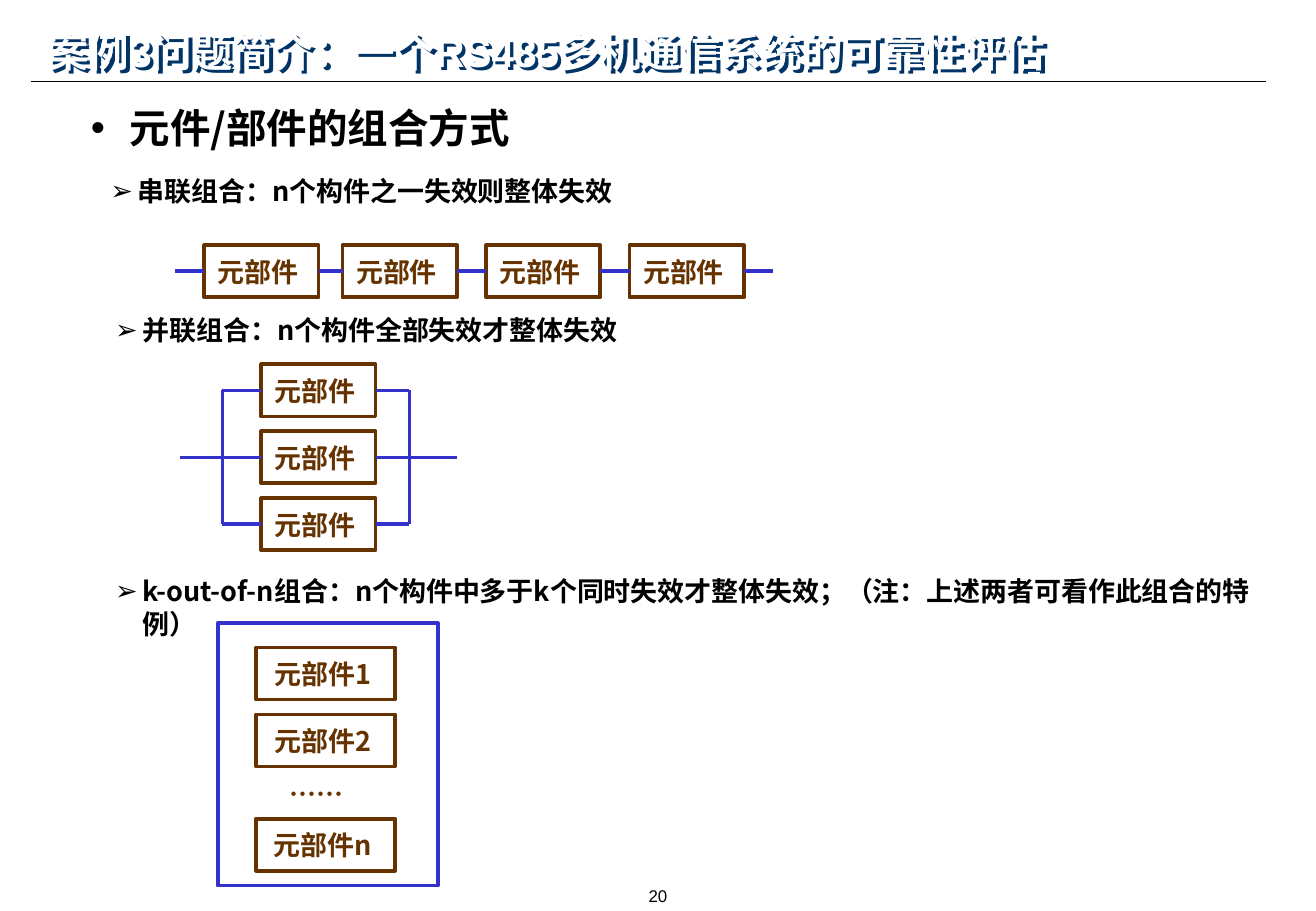
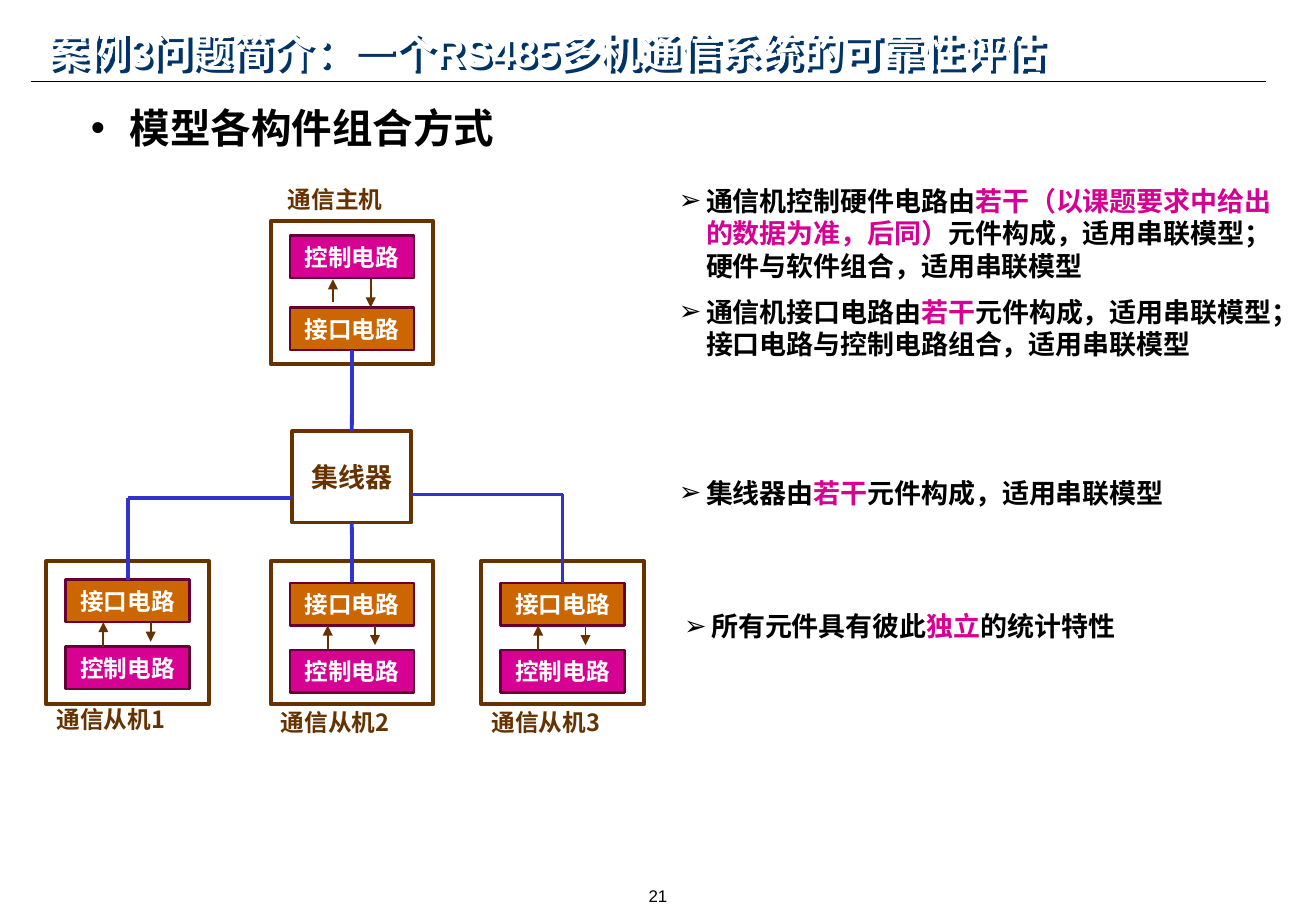
"""Build two slides on how components combine in an RS485 reliability model."""
from lxml.etree import SubElement
from pptx import Presentation
from pptx.dml.color import RGBColor
from pptx.enum.shapes import MSO_CONNECTOR, MSO_SHAPE
from pptx.enum.text import MSO_ANCHOR, PP_ALIGN
from pptx.oxml.ns import qn
from pptx.util import Cm, Pt

BLACK = RGBColor(0x00, 0x00, 0x00)
WHITE = RGBColor(0xFF, 0xFF, 0xFF)
BROWN = RGBColor(0x66, 0x33, 0x00)
BLUE = RGBColor(0x33, 0x33, 0xCC)
PINK = RGBColor(0xD6, 0x00, 0x93)
ORANGE = RGBColor(0xCC, 0x66, 0x00)
WINE = RGBColor(0x66, 0x00, 0x33)
NAVY = "003366"
CJK = "Noto Sans CJK SC"
TOP, LEFT, BOTTOM, RIGHT = range(4)

TITLE = "案例3问题简介：一个RS485多机通信系统的可靠性评估"
PARTS = [
    {"page": "20", "head": "元件/部件的组合方式", "points": [
        (2.06, 3.53, 13, ["串联组合：n个构件之一失效则整体失效"]),
        (2.16, 6.43, 13, ["并联组合：n个构件全部失效才整体失效"]),
        (2.16, 11.89, 25, ["k-out-of-n组合：n个构件中多于k个同时失效才整体失效；"
                           "（注：上述两者可看作此组合的特例）"]),
    ]},
    {"page": "21", "head": "模型各构件组合方式", "points": [
        (13.94, 3.73, 13, ["通信机控制硬件电路由", "若干（以课题要求中给出的数据为准，后同）",
                           "元件构成，适用串联模型；硬件与软件组合，适用串联模型"]),
        (13.94, 6.05, 13, ["通信机接口电路由", "若干",
                           "元件构成，适用串联模型；接口电路与控制电路组合，适用串联模型"]),
        (13.94, 9.83, 13, ["集线器由", "若干", "元件构成，适用串联模型"]),
        (14.05, 12.62, 13, ["所有元件具有彼此", "独立", "的统计特性"]),
    ]},
]
PART = "元部件"
SERIES = [4.27, 7.16, 10.16, 13.16]
VOTES = [("元部件1", 13.54), ("元部件2", 14.94), ("元部件n", 17.12)]
HOST = {"label": -0.89, "ctrl": 0.31, "port": 1.81,
        "arrows": [(1.3, 1.7, 1.22), (2.09, 1.22, 1.81)]}
SLAVE = {"label": 2.95, "ctrl": 1.86, "port": 0.46,
         "arrows": [(1.19, 1.86, 1.35), (2.18, 1.35, 1.76)]}
UNITS = [("通信主机", 5.66, 4.62, 0, HOST), ("通信从机1", 0.97, 11.73, -0.07, SLAVE),
         ("通信从机2", 5.66, 11.73, 0, SLAVE), ("通信从机3", 10.06, 11.73, 0, SLAVE)]
UNIT_W, UNIT_H, CHIP_W, CHIP_H = 3.4, 3, 2.59, 0.89
HUB = (6.11, 9.02, 2.49, 1.91)


def write(para, texts, size, color, face=CJK, bold=True):
    for i, text in enumerate(texts):
        run = para.add_run()
        run.text = text
        style = {"size": Pt(size), "bold": bold, "name": face}
        for key, value in style.items():
            setattr(run.font, key, value)
        run.font.color.rgb = PINK if i % 2 else color
        SubElement(run.font._element, qn("a:ea"), typeface=CJK)


def setup(frame, pads, wrap=True, anchor=MSO_ANCHOR.TOP):
    names = ("margin_left", "margin_top", "margin_right", "margin_bottom")
    for name, pad in zip(names, pads):
        setattr(frame, name, Cm(pad))
    frame.word_wrap, frame.vertical_anchor = wrap, anchor
    return frame.paragraphs[0]


def label(slide, spot, text, size, color=BROWN, pads=(0, 0.13, 0, 0.13), **style):
    box = slide.shapes.add_textbox(*map(Cm, spot))
    para = setup(box.text_frame, pads)
    para.alignment = PP_ALIGN.CENTER
    para.line_spacing = Pt(size * 1.2)
    write(para, [text], size, color, **style)


def bullet(slide, spot, texts, size, mark, indent):
    box = slide.shapes.add_textbox(*map(Cm, spot))
    para = setup(box.text_frame, (0.25, 0.13, 0.25, 0.13))
    para.line_spacing = Pt(size * 1.2)
    props = para._p.get_or_add_pPr()
    props.set("marL", str(Cm(indent)))
    props.set("indent", str(-Cm(indent)))
    SubElement(props, qn("a:buFont"), typeface="Arial")
    SubElement(props, qn("a:buChar"), char=mark)
    write(para, texts, size, BLACK)


def block(slide, spot, text="", size=16, fill=None, edge=BROWN, width=2.25, right=0):
    rect = slide.shapes.add_shape(MSO_SHAPE.RECTANGLE, *map(Cm, spot))
    rect.shadow.inherit = False
    rect.line.color.rgb, rect.line.width = edge, Pt(width)
    if fill is None:
        rect.fill.background()
    else:
        rect.fill.solid()
        rect.fill.fore_color.rgb = fill
    if text:
        para = setup(rect.text_frame, (0, 0, right, 0), False, MSO_ANCHOR.MIDDLE)
        para.alignment = PP_ALIGN.CENTER
        write(para, [text], size, WHITE if fill else BROWN)
    return rect


def wire(slide, start, end, color=BLUE, width=2.25, arrow=False):
    """Draw a line; each end is an (x, y) point in cm or a (shape, side) pair."""
    ends = [None if hasattr(a, "shape_type") else (Cm(a), Cm(b)) for a, b in (start, end)]
    line = slide.shapes.add_connector(MSO_CONNECTOR.STRAIGHT,
                                      *(ends[0] or (0, 0)), *(ends[1] or (0, 0)))
    if ends[0] is None:
        line.begin_connect(*start)
    if ends[1] is None:
        line.end_connect(*end)
    line.line.color.rgb, line.line.width = color, Pt(width)
    if arrow:
        SubElement(line.line._get_or_add_ln(), qn("a:tailEnd"), type="triangle")
    SubElement(line.element.spPr, qn("a:effectLst"))
    return line


def base(deck, part):
    slide = deck.slides.add_slide(deck.slide_layouts[5])
    title = slide.shapes.title
    title.left, title.top, title.width, title.height = map(Cm, (0.76, 0.43, 23.39, 1.27))
    para = setup(title.text_frame, (0.25, 0.13, 0.25, 0.13), True, MSO_ANCHOR.MIDDLE)
    para.alignment = PP_ALIGN.LEFT
    write(para, [TITLE], 24, WHITE, "Arial")
    title.fill.background()
    effect = SubElement(title.element.spPr, qn("a:effectLst"))
    shade = SubElement(effect, qn("a:outerShdw"), dist=str(Cm(0.1)), dir="2700000",
                       algn="ctr", rotWithShape="0")
    SubElement(shade, qn("a:srgbClr"), val=NAVY)
    label(slide, (9.4, 18.42, 8.71, 0.64), part["page"], 10, BLACK,
          (0.18, 0.1, 0.18, 0.1), face="Arial", bold=False)
    bullet(slide, (1.65, 2.03, 21.41, 1.27), [part["head"]], 24, "•", 0.81)
    for x, y, wide, texts in part["points"]:
        bullet(slide, (x, y, wide, 0.94), texts, 16, "➢", 0.57)
    return slide


def combos(slide):
    wide, high = 2.39, 1.09
    row = [block(slide, (x, 5.13, wide, high), PART, right=0.13) for x in SERIES]
    mid = 5.13 + high / 2
    stops = [((3.66, mid), (row[0], LEFT)), ((row[-1], RIGHT), (16.15, mid))]
    stops += [((a, RIGHT), (b, LEFT)) for a, b in zip(row, row[1:])]

    tops = [7.62 + 1.4 * i for i in range(3)]
    mids = [y + high / 2 for y in tops]
    stack = [block(slide, (5.46, y, wide, high), PART, right=0.13) for y in tops]
    for bus, end, side in ((4.65, 3.76, LEFT), (8.56, 9.55, RIGHT)):
        stops += [((bus, mids[0]), (bus, mids[2]))]
        stops += [((x, y), (box, side))
                  for x, y, box in zip((bus, end, bus), mids, stack)]
    for start, end in stops:
        wire(slide, start, end)

    for text, y in VOTES:
        block(slide, (5.36, y, 2.9, high), text, right=0.13)
    block(slide, (4.55, 13.03, 4.6, 5.49), edge=BLUE)
    label(slide, (5.66, 16.13, 1.91, 0.94), "……", 16)


def network(slide):
    ports = []
    for name, x, y, lift, plan in UNITS:
        block(slide, (x, y, UNIT_W, UNIT_H))
        y += lift
        left = x + (UNIT_W - CHIP_W) / 2
        chips = [block(slide, (left, y + plan[key], CHIP_W, CHIP_H), text, 14, fill, WINE, 1.5)
                 for key, text, fill in (("ctrl", "控制电路", PINK), ("port", "接口电路", ORANGE))]
        ports.append((chips[1], left + CHIP_W / 2))
        label(slide, (x - 0.3, y + plan["label"], 3.3, 0.84), name, 14)
        for dx, start, end in plan["arrows"]:
            wire(slide, (x + dx, y + start), (x + dx, y + end), BROWN, 1, True)

    hub = block(slide, HUB, "集线器")
    host, first, second, third = ports
    wire(slide, (hub, TOP), (host[0], BOTTOM))
    wire(slide, (hub, BOTTOM), (second[0], TOP))
    for (port, x), edge, y in ((first, HUB[0], 10.41), (third, HUB[0] + HUB[2], 10.34)):
        wire(slide, (edge, y), (x, y))
        wire(slide, (x, y), (port, TOP))


def main():
    deck = Presentation()
    deck.slide_width, deck.slide_height = Cm(27.51), Cm(19.05)
    for part, draw in zip(PARTS, (combos, network)):
        draw(base(deck, part))
    rule = wire(deck.slides[0], (0.64, 1.7), (26.47, 1.7), BLACK, 0.75)
    deck.slide_layouts[5].shapes.element.append(rule.element)
    deck.save("out.pptx")


if __name__ == "__main__":
    main()
